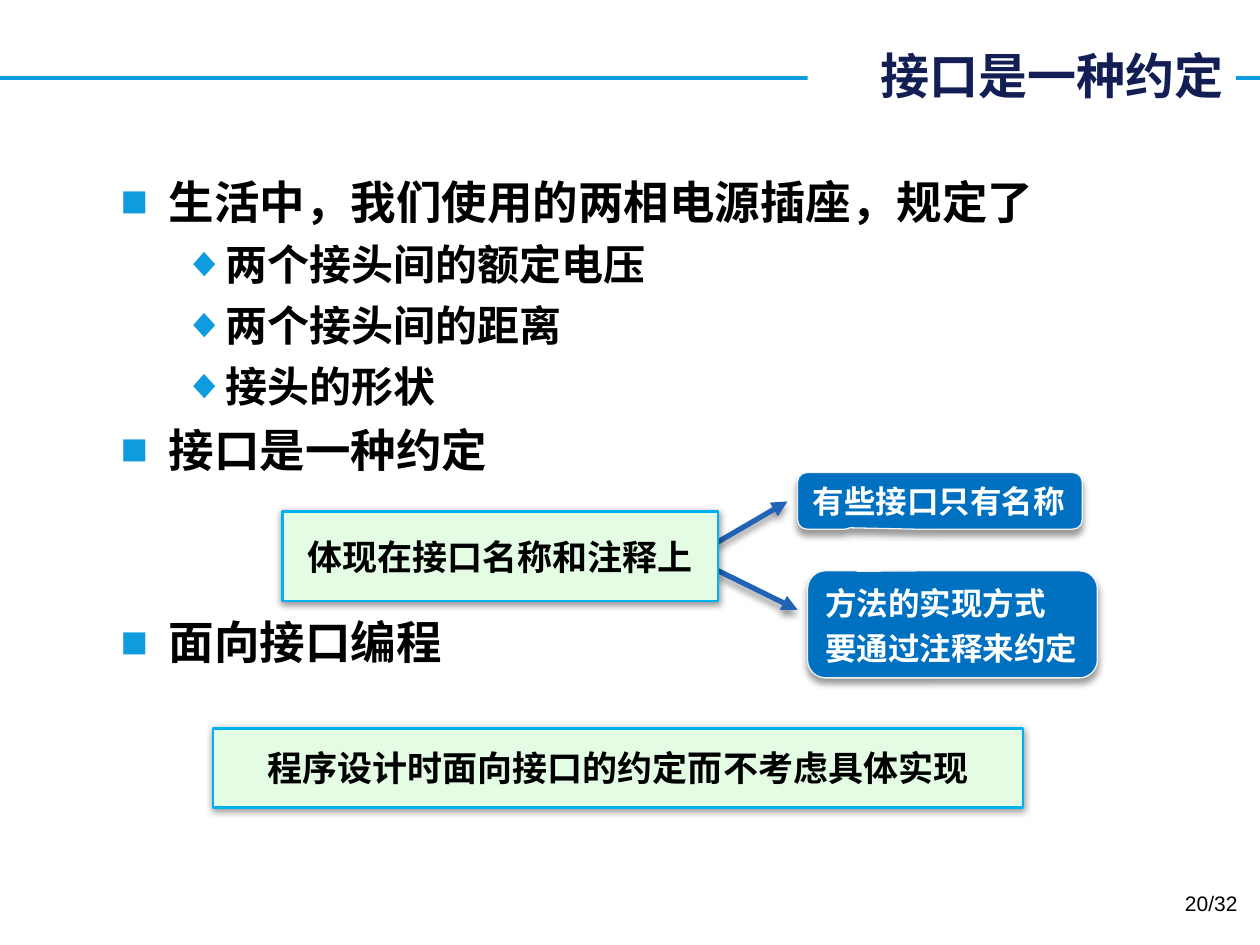
from dataclasses import dataclass

from lxml import etree
from pptx import Presentation
from pptx.dml.color import RGBColor
from pptx.enum.shapes import MSO_CONNECTOR, MSO_SHAPE
from pptx.enum.text import MSO_ANCHOR, PP_ALIGN
from pptx.oxml.ns import qn
from pptx.util import Inches, Pt

STRAIGHT = MSO_CONNECTOR.STRAIGHT
ROUND_RECT = MSO_SHAPE.ROUNDED_RECTANGLE
CALLOUT = MSO_SHAPE.ROUNDED_RECTANGULAR_CALLOUT
LEFT, CENTER, RIGHT = PP_ALIGN.LEFT, PP_ALIGN.CENTER, PP_ALIGN.RIGHT
MIDDLE, BOTTOM = MSO_ANCHOR.MIDDLE, MSO_ANCHOR.BOTTOM


@dataclass(frozen=True)
class Theme:
    font: str = "Arial"
    title_font: str = "Noto Sans CJK SC"
    white: str = "FFFFFF"
    black: str = "000000"
    title: str = "121E54"
    accent: str = "0E9CDE"
    note_fill: str = "E4FCE4"
    note_line: str = "00B0F0"
    callout_fill: str = "0070C0"
    callout_line: str = "F2F2F2"
    arrow: str = "2163B4"
    title_size: int = 28
    bullet_sizes: tuple = (26, 24)
    note_size: int = 20
    callout_size: int = 18
    page_size: int = 12


THEME = Theme()
BULLETS = (("■", 0.38, -0.38), ("◆", 0.81, -0.31))


def rgb(value):
    return RGBColor.from_string(value)


def add_run(p, text, size, color, bold=True, font=THEME.font):
    r = p.add_run()
    r.text = text
    r.font.name = font
    r.font.size = Pt(size)
    r.font.bold = bold
    r.font.color.rgb = rgb(color)
    return r


def add_shadow(sp, dist):
    effects = etree.SubElement(sp.element.spPr, qn("a:effectLst"))
    outer = etree.SubElement(effects, qn("a:outerShdw"), blurRad=str(Pt(4)),
                             dist=str(Pt(dist)), dir="5400000", rotWithShape="0")
    color = etree.SubElement(outer, qn("a:srgbClr"), val=THEME.black)
    etree.SubElement(color, qn("a:alpha"), val="40000")


def add_line(slide, start, end, color, width):
    line = slide.shapes.add_connector(STRAIGHT, *map(Inches, start + end))
    line.line.color.rgb = rgb(color)
    line.line.width = Pt(width)
    return line


def add_header(slide, box, text):
    line = add_line(slide, (0, 0.62), (10, 0.62), THEME.accent, 2.25)
    etree.SubElement(line.element.spPr, qn("a:effectLst"))
    title = slide.shapes.title
    title.left, title.top, title.width, title.height = map(Inches, box)
    title.fill.solid()
    title.fill.fore_color.rgb = rgb(THEME.white)
    tf = title.text_frame
    tf.vertical_anchor = MIDDLE
    tf.word_wrap = True
    p = tf.paragraphs[0]
    p.alignment = RIGHT
    r = add_run(p, text, THEME.title_size, THEME.title, font=THEME.title_font)
    etree.SubElement(r.font._element, qn("a:ea"), typeface=THEME.title_font)
    slide.shapes._spTree.append(title.element)


def add_bullet(p, level):
    char, margin, indent = BULLETS[level]
    pPr = p._p.get_or_add_pPr()
    pPr.set("marL", str(Inches(margin)))
    pPr.set("indent", str(Inches(indent)))
    color = etree.SubElement(pPr, qn("a:buClr"))
    etree.SubElement(color, qn("a:srgbClr"), val=THEME.accent)
    etree.SubElement(pPr, qn("a:buFont"), typeface=THEME.font)
    etree.SubElement(pPr, qn("a:buChar"), char=char)


def add_body(slide, box, items):
    tf = slide.shapes.add_textbox(*map(Inches, box)).text_frame
    tf.word_wrap = True
    for i, (level, text, before) in enumerate(items):
        p = tf.add_paragraph() if i else tf.paragraphs[0]
        p.level = level
        p.space_before = Pt(before)
        add_bullet(p, level)
        add_run(p, text, THEME.bullet_sizes[level], THEME.black)


def add_panel(slide, kind, box, adjustments, fill, line, width, dist):
    sp = slide.shapes.add_shape(kind, *map(Inches, box))
    for i, value in enumerate(adjustments):
        sp.adjustments[i] = value
    sp.fill.solid()
    sp.fill.fore_color.rgb = rgb(fill)
    sp.line.color.rgb = rgb(line)
    sp.line.width = Pt(width)
    add_shadow(sp, dist)
    return sp.text_frame


def add_note(slide, box, text):
    tf = add_panel(slide, ROUND_RECT, box, (0,), THEME.note_fill,
                   THEME.note_line, 1.5, 1)
    tf.word_wrap = True
    tf.vertical_anchor = MIDDLE
    p = tf.paragraphs[0]
    p.alignment = CENTER
    add_run(p, text, THEME.note_size, THEME.black)


def add_callout(slide, box, tip, lines):
    tf = add_panel(slide, CALLOUT, box, tip + (0.167,), THEME.callout_fill,
                   THEME.callout_line, 0.75, 3)
    tf.word_wrap = False
    tf.vertical_anchor = BOTTOM
    for i, text in enumerate(lines):
        p = tf.add_paragraph() if i else tf.paragraphs[0]
        p.alignment = LEFT
        p.space_before = Pt(4 if i else 0)
        add_run(p, text, THEME.callout_size, THEME.white)


def add_arrow(slide, start, end):
    line = add_line(slide, start, end, THEME.arrow, 3)
    etree.SubElement(line.line._get_or_add_ln(), qn("a:tailEnd"), type="triangle")
    add_shadow(line, 3)


def add_page_number(slide, box, text):
    tf = slide.shapes.add_textbox(*map(Inches, box)).text_frame
    tf.word_wrap = True
    p = tf.paragraphs[0]
    p.alignment = RIGHT
    add_run(p, text, THEME.page_size, THEME.black, bold=False)


def main():
    prs = Presentation()
    prs.slide_width, prs.slide_height = Inches(10), Inches(7.5)
    slide = prs.slides.add_slide(prs.slide_layouts[5])
    add_header(slide, (6.41, 0.31, 3.4, 0.57), "接口是一种约定")
    add_body(slide, (0.86, 1.33, 8.36, 5.63), (
        (0, "生活中，我们使用的两相电源插座，规定了", 0),
        (1, "两个接头间的额定电压", 6),
        (1, "两个接头间的距离", 6),
        (1, "接头的形状", 6),
        (0, "接口是一种约定", 6),
        (0, "面向接口编程", 79),
    ))
    add_note(slide, (1.69, 5.78, 6.43, 0.63),
             "程序设计时面向接口的约定而不考虑具体实现")
    add_callout(slide, (6.33, 3.75, 2.26, 0.45), (-0.315, 0.476),
                ("有些接口只有名称",))
    add_callout(slide, (6.41, 4.53, 2.3, 0.85), (-0.327, -0.495),
                ("方法的实现方式", "要通过注释来约定"))
    add_arrow(slide, (5.7, 4.3), (6.25, 3.98))
    add_arrow(slide, (5.7, 4.53), (6.33, 4.84))
    add_note(slide, (2.24, 4.06, 3.46, 0.71), "体现在接口名称和注释上")
    add_page_number(slide, (7.59, 7.02, 2.33, 0.4), "20/32")
    prs.save("out.pptx")


if __name__ == "__main__":
    main()
